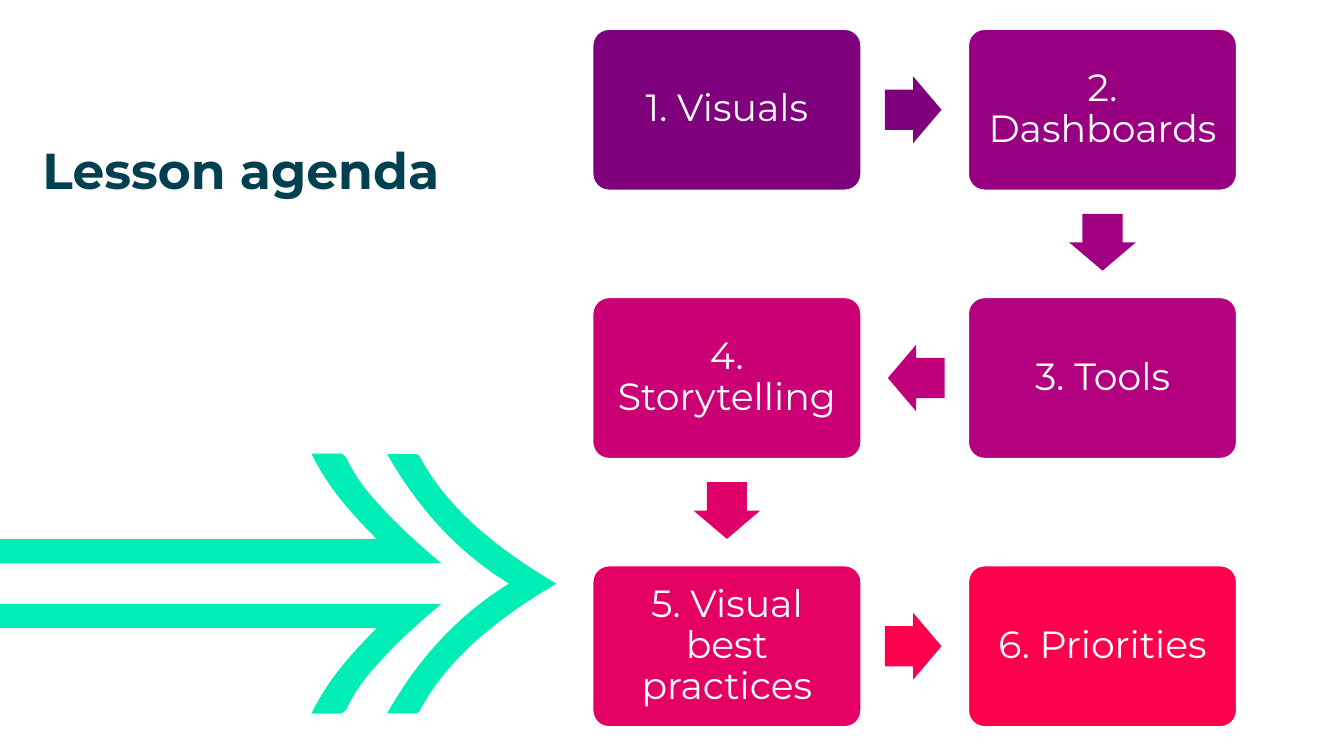
from pptx import Presentation
from pptx import util as u
from pptx.dml.color import RGBColor
from pptx.enum import shapes, text
from pptx.oxml import ns

Pt = u.Pt
WHITE = RGBColor(0xFF, 0xFF, 0xFF)
NAVY = RGBColor(0x00, 0x40, 0x50)
MINT = RGBColor(0x00, 0xED, 0xB5)
FONT = "Montserrat"

TITLE = "Lesson agenda"
# label, column, row, box colour, colour of the arrow to the next step
STEPS = [
    ("1. Visuals", 0, 0, RGBColor(0x7F, 0x00, 0x7D), RGBColor(0x7F, 0x00, 0x7D)),
    ("2. Dashboards", 1, 0, RGBColor(0x99, 0x00, 0x81), RGBColor(0x9F, 0x00, 0x81)),
    ("3. Tools", 1, 1, RGBColor(0xB2, 0x00, 0x7E), RGBColor(0xBF, 0x00, 0x7A)),
    ("4. Storytelling", 0, 1, RGBColor(0xCC, 0x00, 0x75), RGBColor(0xDF, 0x00, 0x69)),
    ("5. Visual best practices", 0, 2, RGBColor(0xE5, 0x00, 0x64), RGBColor(0xFF, 0x00, 0x4C)),
    ("6. Priorities", 1, 2, RGBColor(0xFF, 0x00, 0x4C), None),
]
ROTATIONS = {(1, 0): 0, (0, 1): 90, (-1, 0): 180}

GRID_LEFT, GRID_TOP = 423.4, 20.9
COLUMN_PITCH, ROW_PITCH = 268.3, 191.6
BOX_WIDTH, BOX_HEIGHT = 191.6, 115
ARROW_WIDTH, ARROW_HEIGHT = 40.5, 47.7
ARROW_SETBACK = 1.1

# Outlines relative to the axis of the big arrow, with one letter a segment:
# L takes one point (line), C takes three (curve)
AXIS = 416.9
SHAFT_SEGMENTS = "LLLCLCCC"
SHAFT = [
    (315.4, -14.4), (-59.8, -14.4), (-59.8, -31.7), (269.3, -31.7),
    (250.6, -50.4), (234, -69.1), (222.5, -92.9), (241.2, -92.9),
    (244.1, -93.6), (246.2, -91.4), (247.7, -89.3),
    (252.7, -78.5), (259.9, -68.4), (267.8, -59.8),
    (281.5, -43.9), (297.4, -29.5), (315.4, -14.4),
]
CHEVRON_SEGMENTS = "CLCCC"
CHEVRON_HALF = [
    (363.6, 0), (326.2, -23), (298.1, -54.7), (276.5, -92.6), (297.4, -92.6),
    (298.1, -92.6), (298.8, -92.2), (299.5, -91.4),
    (309.6, -72), (324, -55.4), (340.6, -40.3),
    (357.8, -25.2), (376.6, -12.2), (397.4, 0),
]


def mirror(points):
    return [(x, -y) for x, y in points]


def paint(shape, colour):
    shape.shadow.inherit = False
    shape.fill.solid()
    shape.fill.fore_color.rgb = colour
    shape.line.fill.background()


def draw_outline(slide, points, segments):
    """Draw a closed outline; each C segment joins three lines into one curve."""
    vertices = [(Pt(x), Pt(AXIS + y)) for x, y in points]
    builder = slide.shapes.build_freeform(*vertices[0], scale=1.0)
    builder.add_line_segments(vertices[1:], close=True)
    shape = builder.convert_to_shape()
    paint(shape, MINT)
    lines = iter(list(shape.element.iter(ns.qn("a:lnTo"))))
    for segment in segments:
        first = next(lines)
        if segment == "C":
            first.tag = ns.qn("a:cubicBezTo")
            for line in (next(lines), next(lines)):
                first.append(line[0])
                line.getparent().remove(line)


def write(shape, words, size, colour, bold=False, inset=0, spacing=1.0,
          align=text.PP_ALIGN.LEFT, anchor=text.MSO_ANCHOR.TOP):
    frame = shape.text_frame
    frame.word_wrap = True
    frame.auto_size = text.MSO_AUTO_SIZE.NONE
    frame.vertical_anchor = anchor
    frame.margin_left = frame.margin_right = Pt(inset)
    frame.margin_top = frame.margin_bottom = Pt(inset)
    frame.text = words
    paragraph = frame.paragraphs[0]
    paragraph.alignment = align
    paragraph.line_spacing = spacing
    paragraph.space_before = Pt(0)
    font = paragraph.runs[0].font
    font.name, font.size, font.bold = FONT, Pt(size), bold
    font.color.rgb = colour


def box_centre(column, row):
    return (GRID_LEFT + column * COLUMN_PITCH + BOX_WIDTH / 2,
            GRID_TOP + row * ROW_PITCH + BOX_HEIGHT / 2)


def add_centred(slide, kind, x, y, width, height, colour):
    shape = slide.shapes.add_shape(
        kind, Pt(x - width / 2), Pt(y - height / 2), Pt(width), Pt(height))
    paint(shape, colour)
    return shape


def add_box(slide, words, column, row, colour):
    box = add_centred(slide, shapes.MSO_SHAPE.ROUNDED_RECTANGLE,
                      *box_centre(column, row), BOX_WIDTH, BOX_HEIGHT, colour)
    box.adjustments[0] = 0.1
    box.line.color.rgb = WHITE
    box.line.width = Pt(1)
    write(box, words, 27, WHITE, inset=7.9, spacing=0.9,
          align=text.PP_ALIGN.CENTER, anchor=text.MSO_ANCHOR.MIDDLE)


def add_step_arrow(slide, start, end, colour):
    """Place a block arrow midway between two neighbouring grid cells."""
    direction = (end[0] - start[0], end[1] - start[1])
    x, y = [(a + b) / 2 - ARROW_SETBACK * way
            for a, b, way in zip(box_centre(*start), box_centre(*end), direction)]
    arrow = add_centred(slide, shapes.MSO_SHAPE.RIGHT_ARROW, x, y,
                        ARROW_WIDTH, ARROW_HEIGHT, colour)
    arrow.adjustments[0] = 0.6
    arrow.adjustments[1] = 0.5
    arrow.rotation = ROTATIONS[direction]


def main():
    presentation = Presentation()
    presentation.slide_width, presentation.slide_height = Pt(960), Pt(540)
    slide = presentation.slides.add_slide(presentation.slide_layouts[5])

    title = slide.shapes.title
    title.left, title.top = Pt(30.2), Pt(99.4)
    title.width, title.height = Pt(306.7), Pt(206.6)
    write(title, TITLE, 36, NAVY, bold=True)

    draw_outline(slide, SHAFT, SHAFT_SEGMENTS)
    draw_outline(slide, CHEVRON_HALF + mirror(CHEVRON_HALF[-2::-1]),
                 CHEVRON_SEGMENTS + CHEVRON_SEGMENTS[::-1])
    draw_outline(slide, mirror(SHAFT), SHAFT_SEGMENTS)

    for index, (words, column, row, colour, arrow_colour) in enumerate(STEPS):
        add_box(slide, words, column, row, colour)
        if arrow_colour is not None:
            add_step_arrow(slide, (column, row), STEPS[index + 1][1:3], arrow_colour)

    presentation.save("out.pptx")


if __name__ == "__main__":
    main()
